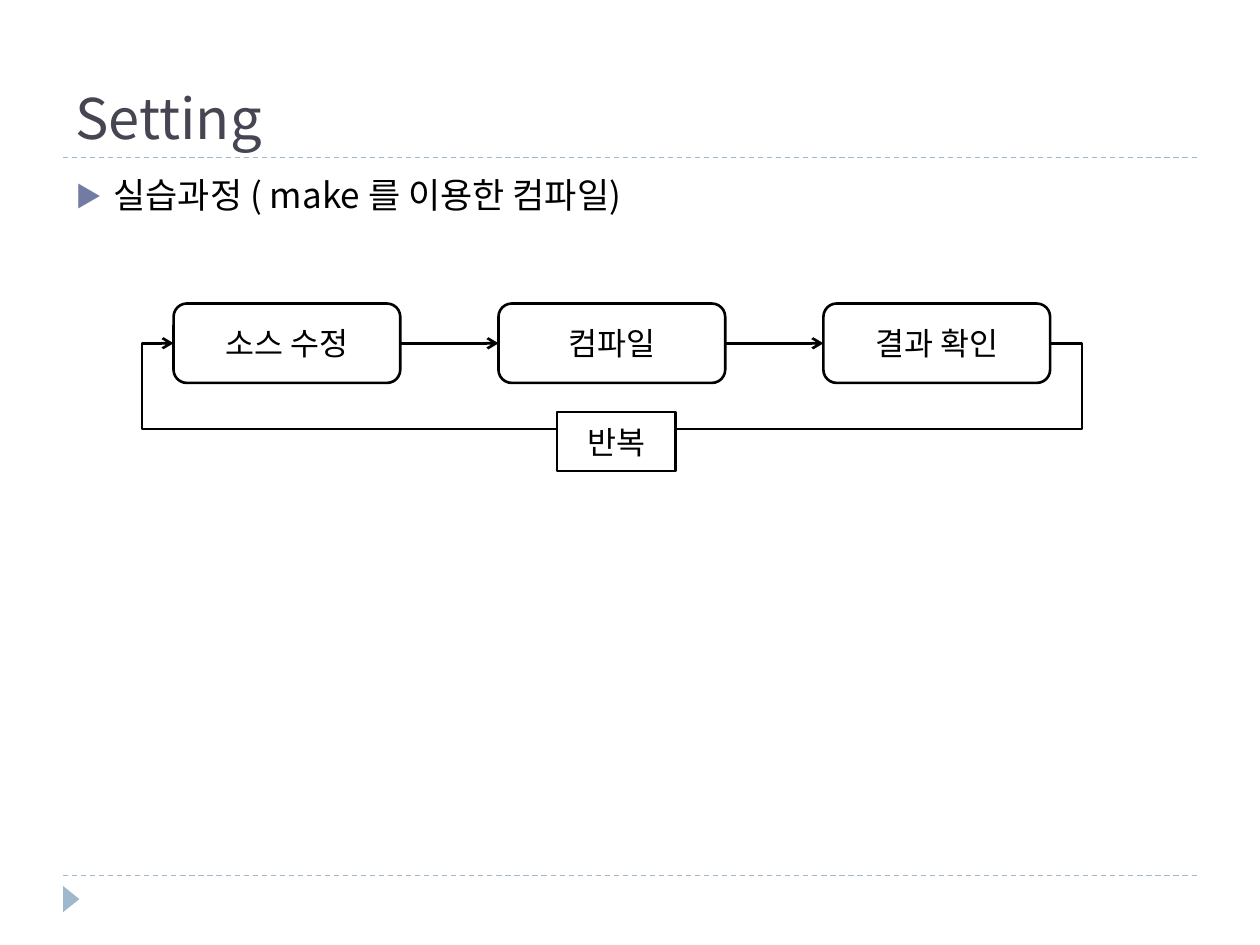
from lxml import etree
from pptx import Presentation
from pptx.dml.color import RGBColor
from pptx.enum.dml import MSO_LINE
from pptx.enum.shapes import MSO_CONNECTOR, MSO_SHAPE
from pptx.enum.text import MSO_ANCHOR, MSO_AUTO_SIZE, PP_ALIGN
from pptx.oxml.ns import qn
from pptx.util import Cm, Pt

STRAIGHT = MSO_CONNECTOR.STRAIGHT
ROUNDED, RECTANGLE, TRIANGLE = (
    MSO_SHAPE.ROUNDED_RECTANGLE, MSO_SHAPE.RECTANGLE, MSO_SHAPE.ISOSCELES_TRIANGLE)
LEFT, CENTER = PP_ALIGN.LEFT, PP_ALIGN.CENTER
TOP, MIDDLE, BOTTOM = MSO_ANCHOR.TOP, MSO_ANCHOR.MIDDLE, MSO_ANCHOR.BOTTOM
LEFT_SIDE, RIGHT_SIDE = 1, 3
KOREAN_FONT = "Noto Sans CJK KR"
BLACK, WHITE, ACCENT = "000000", "FFFFFF", "9FB8CD"

# Content
TITLE = "Setting"
TOPIC = "실습과정 ( make 를 이용한 컴파일)"
STEPS = ["소스 수정", "컴파일", "결과 확인"]
REPEAT = "반복"

# Layout in centimetres
MARGIN, CONTENT_WIDTH = 1.27, 22.86
RULES_Y = [3.18, 17.65]
STEP_LEFT, STEP_TOP, STEP_WIDTH, STEP_HEIGHT, STEP_PITCH = 3.5, 6.12, 4.57, 1.6, 6.55
LOOP_OVERHANG, LOOP_Y = 0.64, 8.65
REPEAT_BOX = (11.23, 8.31, 2.39, 1.19)


def color(hex_value):
    return RGBColor.from_string(hex_value)


def add_element(parent, tag, **attributes):
    return etree.SubElement(parent, qn(tag), attributes)


def write(shape, text, size, font=KOREAN_FONT, ink=BLACK, align=LEFT, anchor=TOP,
          bullet=None):
    frame = shape.text_frame
    frame.word_wrap = True
    frame.auto_size = MSO_AUTO_SIZE.NONE
    frame.vertical_anchor = anchor
    paragraph = frame.paragraphs[0]
    paragraph.alignment = align
    paragraph.space_before = Pt(0)
    if bullet:
        props = paragraph._p.get_or_add_pPr()
        props.set("marL", str(Cm(0.76)))
        props.set("indent", str(-Cm(0.76)))
        add_element(add_element(props, "a:buClr"), "a:srgbClr", val="727CA3")
        add_element(props, "a:buSzPct", val="76000")
        add_element(props, "a:buFont", typeface=KOREAN_FONT)
        add_element(props, "a:buChar", char=bullet)
    run = paragraph.add_run()
    run.text = text
    run.font.size = Pt(size)
    run.font.color.rgb = color(ink)
    run.font.name = font
    add_element(run._r.get_or_add_rPr(), "a:ea", typeface=KOREAN_FONT)


def place(shape, left, top, width, height):
    shape.left, shape.top, shape.width, shape.height = map(Cm, (left, top, width, height))


def add_box(slide, kind, box, text):
    shape = slide.shapes.add_shape(kind, *map(Cm, box))
    shape.shadow.inherit = False
    shape.fill.solid()
    shape.fill.fore_color.rgb = color(WHITE)
    style_line(shape.line)
    write(shape, text, 18, font="Calibri", align=CENTER, anchor=MIDDLE)
    return shape


def style_line(line, ink=BLACK, width=1.5, arrow=False):
    line.color.rgb = color(ink)
    line.width = Pt(width)
    if arrow:
        add_element(line._get_or_add_ln(), "a:tailEnd", type="arrow")


def add_line(slide, start, end, **style):
    line = slide.shapes.add_connector(STRAIGHT, *map(Cm, start + end))
    style_line(line.line, **style)
    add_element(line._element.spPr, "a:effectLst")
    return line


def main():
    prs = Presentation()
    prs.slide_width, prs.slide_height = Cm(25.4), Cm(19.05)
    slide = prs.slides.add_slide(prs.slide_layouts[1])

    # Dashed rules and corner mark
    for y in RULES_Y:
        rule = add_line(slide, (MARGIN, y), (MARGIN + CONTENT_WIDTH, y),
                        ink=ACCENT, width=0.75)
        rule.line.dash_style = MSO_LINE.DASH
    mark = slide.shapes.add_shape(TRIANGLE, Cm(1.17), Cm(17.96), Cm(0.53), Cm(0.33))
    mark.rotation = 90
    mark.shadow.inherit = False
    mark.fill.solid()
    mark.fill.fore_color.rgb = color(ACCENT)
    mark.line.fill.background()

    # Title and topic
    title, topic = slide.placeholders
    place(title, MARGIN, 0.43, CONTENT_WIDTH, 2.74)
    write(title, TITLE, 32, ink="464653", anchor=BOTTOM)
    place(topic, MARGIN, 3.38, CONTENT_WIDTH, 13.72)
    write(topic, TOPIC, 20, bullet="▶")

    # Steps joined by arrows
    lefts = [STEP_LEFT + i * STEP_PITCH for i in range(len(STEPS))]
    steps = [add_box(slide, ROUNDED, (left, STEP_TOP, STEP_WIDTH, STEP_HEIGHT), text)
             for left, text in zip(lefts, STEPS)]
    middle = STEP_TOP + STEP_HEIGHT / 2
    for i, (before, after) in enumerate(zip(steps, steps[1:])):
        arrow = add_line(slide, (lefts[i] + STEP_WIDTH, middle), (lefts[i + 1], middle),
                         arrow=True)
        arrow.begin_connect(before, RIGHT_SIDE)
        arrow.end_connect(after, LEFT_SIDE)

    # Loop from the last step back to the first
    first, last = lefts[0], lefts[-1] + STEP_WIDTH
    outer_left, outer_right = first - LOOP_OVERHANG, last + LOOP_OVERHANG
    corners = [(outer_right, middle), (outer_right, LOOP_Y), (outer_left, LOOP_Y),
               (outer_left, middle), (first, middle)]
    builder = slide.shapes.build_freeform(Cm(last), Cm(middle))
    builder.add_line_segments([(Cm(x), Cm(y)) for x, y in corners], close=False)
    loop = builder.convert_to_shape()
    loop.shadow.inherit = False
    loop.fill.background()
    style_line(loop.line, arrow=True)
    add_box(slide, RECTANGLE, REPEAT_BOX, REPEAT)

    prs.save("out.pptx")


if __name__ == "__main__":
    main()
